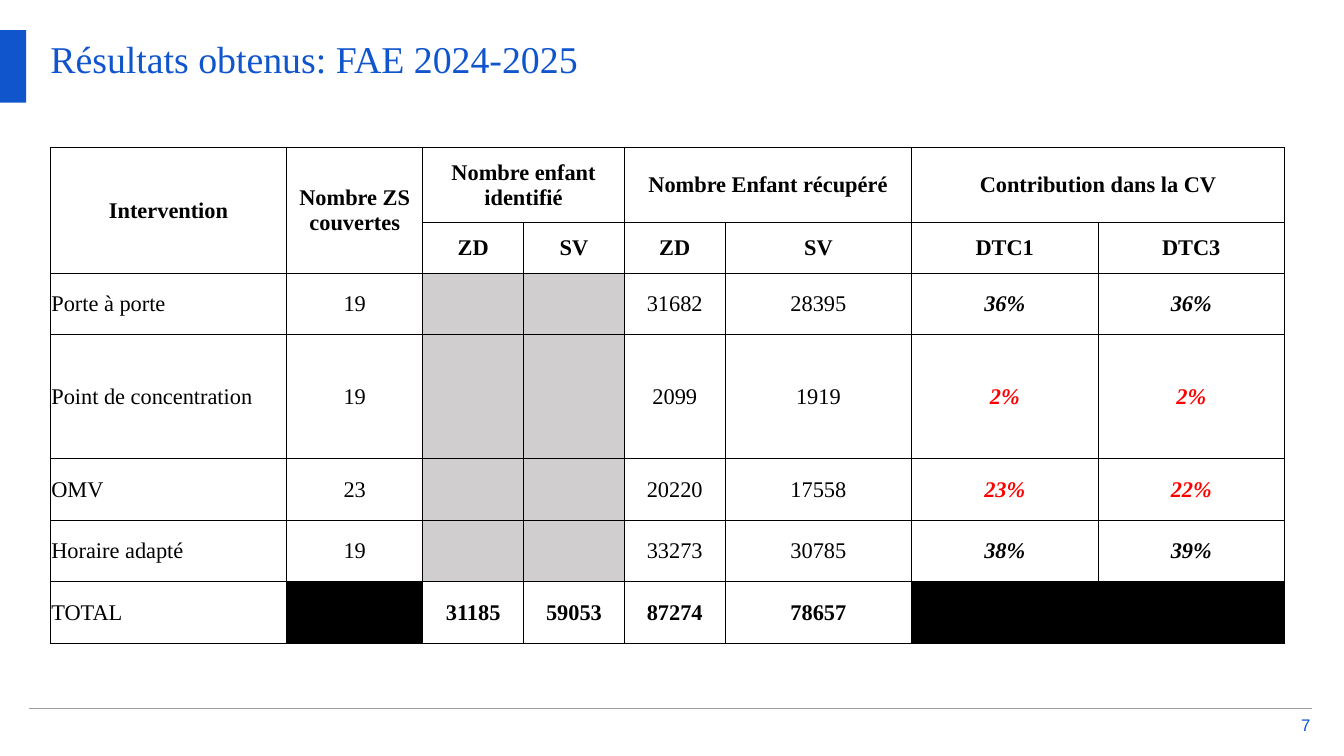
import pptx
import pptx.dml.color
import pptx.enum.shapes
import pptx.enum.text
import pptx.oxml
import pptx.oxml.ns
import pptx.util

Pt = pptx.util.Pt
ALIGN = pptx.enum.text.PP_ALIGN
ANCHOR = pptx.enum.text.MSO_ANCHOR
SERIF = "Times New Roman"
BLUE, BLACK, WHITE, RED, GREY = "1155CC", "000000", "FFFFFF", "FF0000", "D0CECE"

COLS = [168.8, 97.2, 72, 72, 72, 133.2, 133.2, 133.2]
ROWS = [53.3, 28.8, 44, 88.6, 44, 44, 44]
HEADS = [
    ["Intervention", "Nombre ZS couvertes", "Nombre enfant identifié", "",
     "Nombre Enfant récupéré", "", "Contribution dans la CV", ""],
    ["", "", "ZD", "SV", "ZD", "SV", "DTC1", "DTC3"],
]
DATA = [
    ["Porte à porte", "19", "", "", "31682", "28395", "36%", "36%"],
    ["Point de concentration", "19", "", "", "2099", "1919", "2%", "2%"],
    ["OMV", "23", "", "", "20220", "17558", "23%", "22%"],
    ["Horaire adapté", "19", "", "", "33273", "30785", "38%", "39%"],
    ["TOTAL", "", "31185", "59053", "87274", "78657", "", ""],
]
WEAK = ("Point de concentration", "OMV")  # rows with red shares
MERGES = [(0, 0, 1, 0), (0, 1, 1, 1), (0, 2, 0, 3), (0, 4, 0, 5), (0, 6, 0, 7)]


def color(code):
    return pptx.dml.color.RGBColor.from_string(code)


def paint(fill, code):
    fill.solid()
    fill.fore_color.rgb = color(code)


def write(para, text, size, code, face=SERIF, bold=False, ital=False,
          align=ALIGN.LEFT):
    para.alignment = align
    run = para.add_run()
    run.text = text
    font = run.font
    font.name, font.size, font.bold, font.italic = face, Pt(size), bold, ital
    font.color.rgb = color(code)


def frame(shape, anchor):
    body = shape.text_frame
    body.word_wrap = True
    body.auto_size = pptx.enum.text.MSO_AUTO_SIZE.NONE
    body.vertical_anchor = anchor
    body.margin_left = body.margin_right = 0
    body.margin_top = body.margin_bottom = 0
    return body.paragraphs[0]


def title(slide, text):
    shape = slide.shapes.title
    shape.left, shape.top = Pt(36), Pt(25.2)
    shape.width, shape.height = Pt(888), Pt(57.6)
    write(frame(shape, ANCHOR.TOP), text, 27, BLUE)


def block(slide, left, top, width, height, code):
    shape = slide.shapes.add_shape(
        pptx.enum.shapes.MSO_SHAPE.RECTANGLE,
        Pt(left), Pt(top), Pt(width), Pt(height))
    shape.shadow.inherit = False
    paint(shape.fill, code)
    shape.line.fill.background()


def rule(slide, left, right, y, code):
    line = slide.shapes.add_connector(
        pptx.enum.shapes.MSO_CONNECTOR.STRAIGHT,
        Pt(left), Pt(y), Pt(right), Pt(y))
    line.line.color.rgb = color(code)
    line.line.width = Pt(1)
    props = line._element.spPr
    props.append(pptx.oxml.parse_xml(
        "<a:effectLst %s/>" % pptx.oxml.ns.nsdecls("a")))


def number(slide, text):
    box = slide.shapes.add_textbox(Pt(918), Pt(511.2), Pt(18), Pt(13))
    write(frame(box, ANCHOR.MIDDLE), text, 12, BLUE, "Arial",
          align=ALIGN.RIGHT)


def border(cell):
    props = cell._tc.get_or_add_tcPr()
    for side in ("lnL", "lnR", "lnT", "lnB"):
        props.append(pptx.oxml.parse_xml(
            '<a:%s %s w="%d"><a:solidFill><a:srgbClr val="%s"/></a:solidFill>'
            "</a:%s>" % (side, pptx.oxml.ns.nsdecls("a"), Pt(0.5), BLACK, side)))


def style(row, col):
    """Return fill, text colour, bold, italic and alignment of a cell."""
    head = row < len(HEADS)
    total = row == len(ROWS) - 1
    share = not head and col >= 6
    fill = WHITE
    if total and (col == 1 or share):
        fill = BLACK
    elif not head and not total and col in (2, 3):
        fill = GREY
    weak = share and DATA[row - len(HEADS)][0] in WEAK
    bold = head or share or (total and col > 0)
    align = ALIGN.CENTER if head or col else ALIGN.LEFT
    return fill, RED if weak else BLACK, bold, share, align


def table(slide, left, top):
    grid = slide.shapes.add_table(
        len(ROWS), len(COLS), Pt(left), Pt(top),
        Pt(sum(COLS)), Pt(sum(ROWS))).table
    grid.first_row = grid.horz_banding = False
    for col, width in zip(grid.columns, COLS):
        col.width = Pt(width)
    for row, height in zip(grid.rows, ROWS):
        row.height = Pt(height)
    for r, texts in enumerate(HEADS + DATA):
        for c, text in enumerate(texts):
            cell = grid.cell(r, c)
            fill, ink, bold, ital, align = style(r, c)
            border(cell)
            paint(cell.fill, fill)
            cell.vertical_anchor = ANCHOR.MIDDLE
            cell.margin_left = cell.margin_right = cell.margin_top = Pt(0.7)
            cell.margin_bottom = 0
            if text:
                write(cell.text_frame.paragraphs[0], text, 16, ink,
                      bold=bold, ital=ital, align=align)
    for r, c, last, end in MERGES:
        grid.cell(r, c).merge(grid.cell(last, end))


def main():
    deck = pptx.Presentation()
    deck.slide_width, deck.slide_height = Pt(960), Pt(540)
    slide = deck.slides.add_slide(deck.slide_layouts[5])
    # Heading
    title(slide, "Résultats obtenus: FAE 2024-2025")
    block(slide, 0, 21.6, 18.7, 51.8, BLUE)
    # Footer
    number(slide, "7")
    rule(slide, 20.9, 937.5, 506.2, "9E9E9E")
    # Results
    table(slide, 36, 105.4)
    deck.save("out.pptx")


if __name__ == "__main__":
    main()
